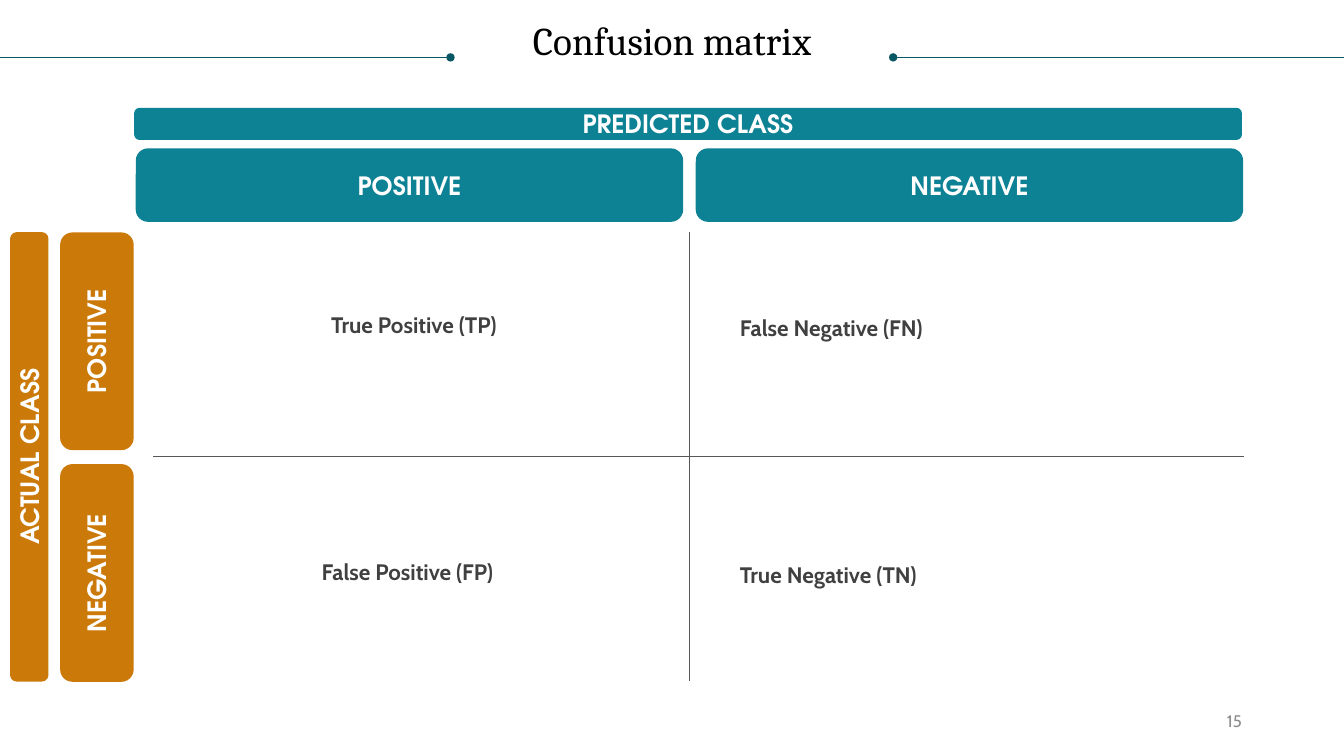
from lxml import etree
from pptx import Presentation
from pptx import util as u
from pptx.dml import color
from pptx.enum import shapes, text
from pptx.oxml import ns

TEAL, ORANGE, DARK_TEAL, GREY = "0D8295", "CB7A09", "085764", "585858"


def rgb(value):
    return color.RGBColor.from_string(value)


def write(sp, words, font="Cabin", size=16, fill="404040", bold=False,
          align=text.PP_ALIGN.LEFT, anchor=text.MSO_ANCHOR.TOP,
          inset=None, spacing=None):
    tf = sp.text_frame
    tf.word_wrap = True
    tf.vertical_anchor = anchor
    if inset is not None:
        tf.margin_left = tf.margin_right = u.Pt(inset)
        tf.margin_top = tf.margin_bottom = u.Pt(inset)
    p = tf.paragraphs[0]
    p.alignment = align
    p.line_spacing = spacing
    r = p.add_run()
    r.text = words
    r.font.name = font
    r.font.size = u.Pt(size)
    r.font.bold = bold
    r.font.color.rgb = rgb(fill)


def add_text(s, x, y, w, h, words, **style):
    sp = s.shapes.add_textbox(u.Pt(x), u.Pt(y), u.Pt(w), u.Pt(h))
    write(sp, words, **style)


def add_bar(s, x, y, w, h, words, fill, upright=False):
    """Rounded bar; x, y, w, h are the bounds as seen, even when upright."""
    if upright:
        x, y, w, h = x + (w - h) / 2, y + (h - w) / 2, h, w
    sp = s.shapes.add_shape(shapes.MSO_SHAPE.ROUNDED_RECTANGLE,
                            u.Pt(x), u.Pt(y), u.Pt(w), u.Pt(h))
    sp.rotation = 270 if upright else 0
    sp.shadow.inherit = False
    sp.fill.solid()
    sp.fill.fore_color.rgb = rgb(fill)
    sp.line.fill.background()
    write(sp, words, font="TeX Gyre Adventor", size=18, fill="FFFFFF", bold=True,
          align=text.PP_ALIGN.CENTER, anchor=text.MSO_ANCHOR.MIDDLE)


def add_line(s, x1, y1, x2, y2, stroke, dot=None):
    """Thin line; dot is 'headEnd' or 'tailEnd' for a round end."""
    c = s.shapes.add_connector(shapes.MSO_CONNECTOR.STRAIGHT,
                               u.Pt(x1), u.Pt(y1), u.Pt(x2), u.Pt(y2))
    c.line.width = u.Pt(0.5)
    c.line.color.rgb = rgb(stroke)
    if dot:
        etree.SubElement(c.line._get_or_add_ln(), ns.qn("a:" + dot), type="oval")
    etree.SubElement(c._element.spPr, ns.qn("a:effectLst"))


def main():
    prs = Presentation()
    prs.slide_width, prs.slide_height = u.Pt(960), u.Pt(540)
    s = prs.slides.add_slide(prs.slide_layouts[6])

    # Title between two dotted lines
    add_line(s, 638, 41, 960, 41, DARK_TEAL, "headEnd")
    add_text(s, 18, 15.1, 924, 61.2, "Confusion matrix", font="Cambria", size=28,
             fill="000000", align=text.PP_ALIGN.CENTER, inset=0, spacing=0.9)
    add_line(s, 0, 41, 321.8, 41, DARK_TEAL, "tailEnd")

    # Class headings, across and down
    for i, label in enumerate(("POSITIVE", "NEGATIVE")):
        add_bar(s, 97 + 400 * i, 106, 391, 52.5, label, TEAL)
        add_bar(s, 43, 166 + 165.5 * i, 52.5, 155.5, label, ORANGE, upright=True)

    # Dividers of the matrix
    add_line(s, 109.4, 326.2, 888.5, 326.2, GREY)
    add_line(s, 492.5, 165.8, 492.5, 486.7, GREY)

    # Outcomes
    centre, left = text.PP_ALIGN.CENTER, text.PP_ALIGN.LEFT
    for x, y, words, align in (
        (131.8, 222.5, "True Positive (TP)", centre),
        (528.5, 224.6, "False Negative (FN)", left),
        (229.7, 398.9, "False Positive (FP)", left),
        (528.5, 401, "True Negative (TN)", left),
    ):
        add_text(s, x, y, 327.6, 19.4, words, bold=True, align=align, inset=0)

    # Page number
    add_text(s, 678.2, 500.4, 216, 28.8, "15", size=12, fill="8C8C8C",
             align=text.PP_ALIGN.RIGHT, anchor=text.MSO_ANCHOR.MIDDLE)

    # Axis names
    add_bar(s, 7.2, 165.8, 27.4, 321, "ACTUAL CLASS", ORANGE, upright=True)
    add_bar(s, 95.8, 77, 791.3, 23, "PREDICTED CLASS", TEAL)

    prs.save("out.pptx")


if __name__ == "__main__":
    main()
